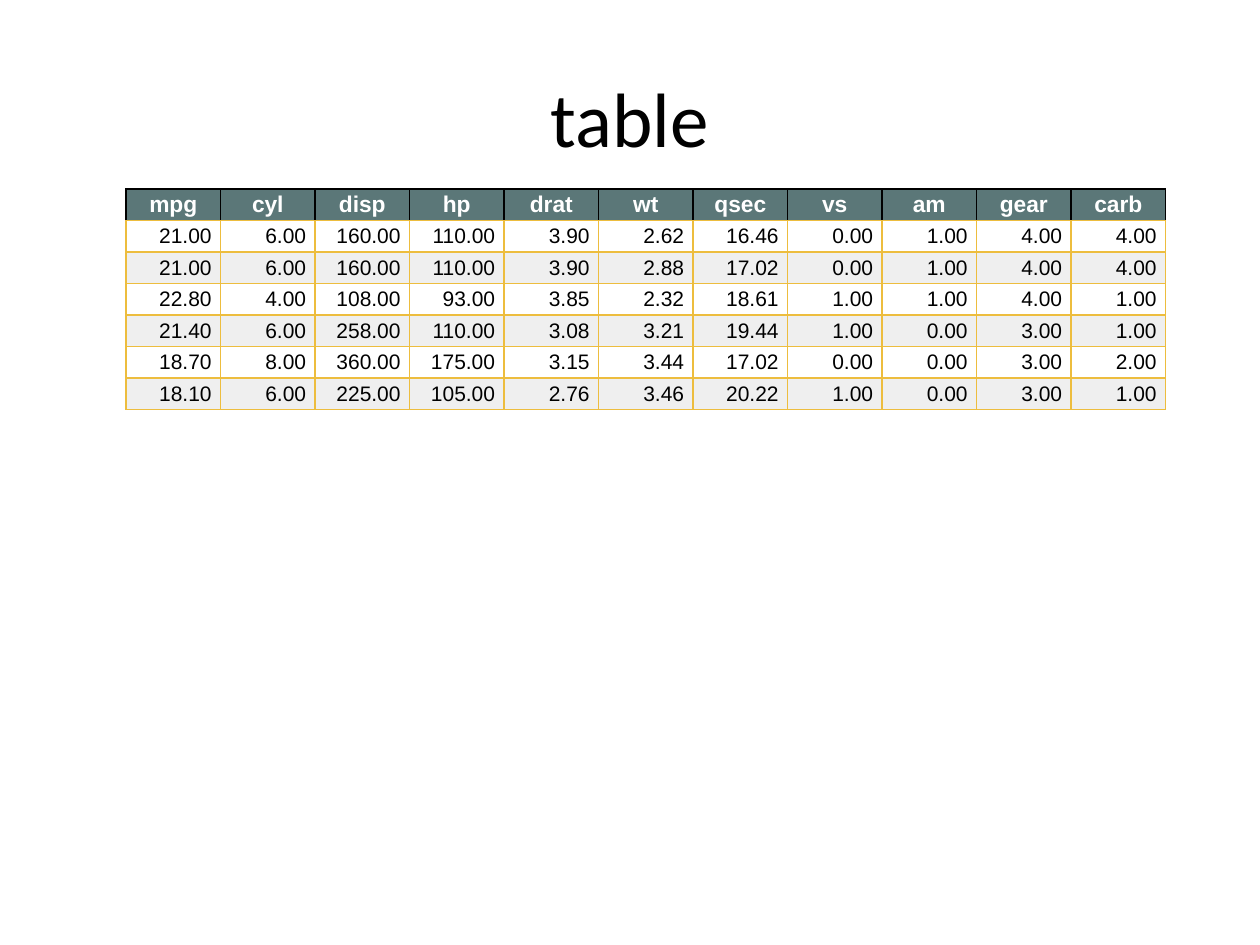
"""Build a slide with a titled table of car measurements."""
from pptx import Presentation
from pptx.dml.color import RGBColor
from pptx.enum.text import MSO_ANCHOR as Anchor, PP_ALIGN as Align
from pptx.oxml import parse_xml
from pptx.oxml.ns import nsdecls
from pptx.util import Pt

PX = 9144
INK, GOLD, STRIPE = "000000", "EDBD3E", "EFEFEF"


def color(value):
    return RGBColor.from_string(value)


def set_border(cell, side, value):
    cell._tc.get_or_add_tcPr().append(parse_xml(
        f'<a:ln{side} {nsdecls("a")} w="12700"><a:solidFill>'
        f'<a:srgbClr val="{value}"/></a:solidFill>'
        f'<a:prstDash val="solid"/></a:ln{side}>'))


columns = "mpg cyl disp hp drat wt qsec vs am gear carb".split()
cars = [
    (21, 6, 160, 110, 3.9, 2.62, 16.46, 0, 1, 4, 4),
    (21, 6, 160, 110, 3.9, 2.88, 17.02, 0, 1, 4, 4),
    (22.8, 4, 108, 93, 3.85, 2.32, 18.61, 1, 1, 4, 1),
    (21.4, 6, 258, 110, 3.08, 3.21, 19.44, 1, 0, 3, 1),
    (18.7, 8, 360, 175, 3.15, 3.44, 17.02, 0, 0, 3, 2),
    (18.1, 6, 225, 105, 2.76, 3.46, 20.22, 1, 0, 3, 1),
]
rows = [columns] + [[f"{value:.2f}" for value in car] for car in cars]
column_width, row_height = 75, 25

prs = Presentation()
prs.slide_width, prs.slide_height = 1000 * PX, 750 * PX
slide = prs.slides.add_slide(prs.slide_layouts[6])

title = slide.shapes.add_textbox(50 * PX, 30 * PX, 900 * PX, 125 * PX).text_frame
title.word_wrap = True
title.vertical_anchor = Anchor.MIDDLE
heading = title.paragraphs[0]
heading.text = "table"
heading.alignment = Align.CENTER
for name, value in {"size": Pt(44), "name": "Calibri"}.items():
    setattr(heading.font, name, value)
heading.font.color.rgb = color(INK)

measurements = slide.shapes.add_table(
    len(rows), len(columns), 100 * PX, 150 * PX,
    len(columns) * column_width * PX, len(rows) * row_height * PX).table
measurements.first_row = measurements.horz_banding = False
for column in measurements.columns:
    column.width = column_width * PX

for r, row in enumerate(rows):
    measurements.rows[r].height = row_height * PX
    header = r == 0
    edge = INK if header else GOLD
    borders = {"L": edge, "R": edge, "T": edge if header else GOLD, "B": GOLD}
    font_format = {"size": Pt(13 if header else 12), "name": "Arial", "bold": header}
    for c, text in enumerate(row):
        cell = measurements.cell(r, c)
        cell.vertical_anchor = Anchor.MIDDLE
        for side in ("left", "right", "top", "bottom"):
            setattr(cell, f"margin_{side}", 0)
        for side, value in borders.items():
            set_border(cell, side, value)
        if header or r % 2 == 0:
            cell.fill.solid()
            cell.fill.fore_color.rgb = color("5B7778" if header else STRIPE)
        else:
            cell.fill.background()
        entry = cell.text_frame.paragraphs[0]
        entry.text = text
        entry.alignment = Align.CENTER if header else Align.RIGHT
        entry.space_before = entry.space_after = Pt(2)
        for name, value in {"marL": 7 * PX, "marR": 7 * PX, "indent": 0}.items():
            entry._p.get_or_add_pPr().set(name, str(value))
        for name, value in font_format.items():
            setattr(entry.font, name, value)
        entry.font.color.rgb = color("FFFFFF" if header else INK)

prs.save("out.pptx")
